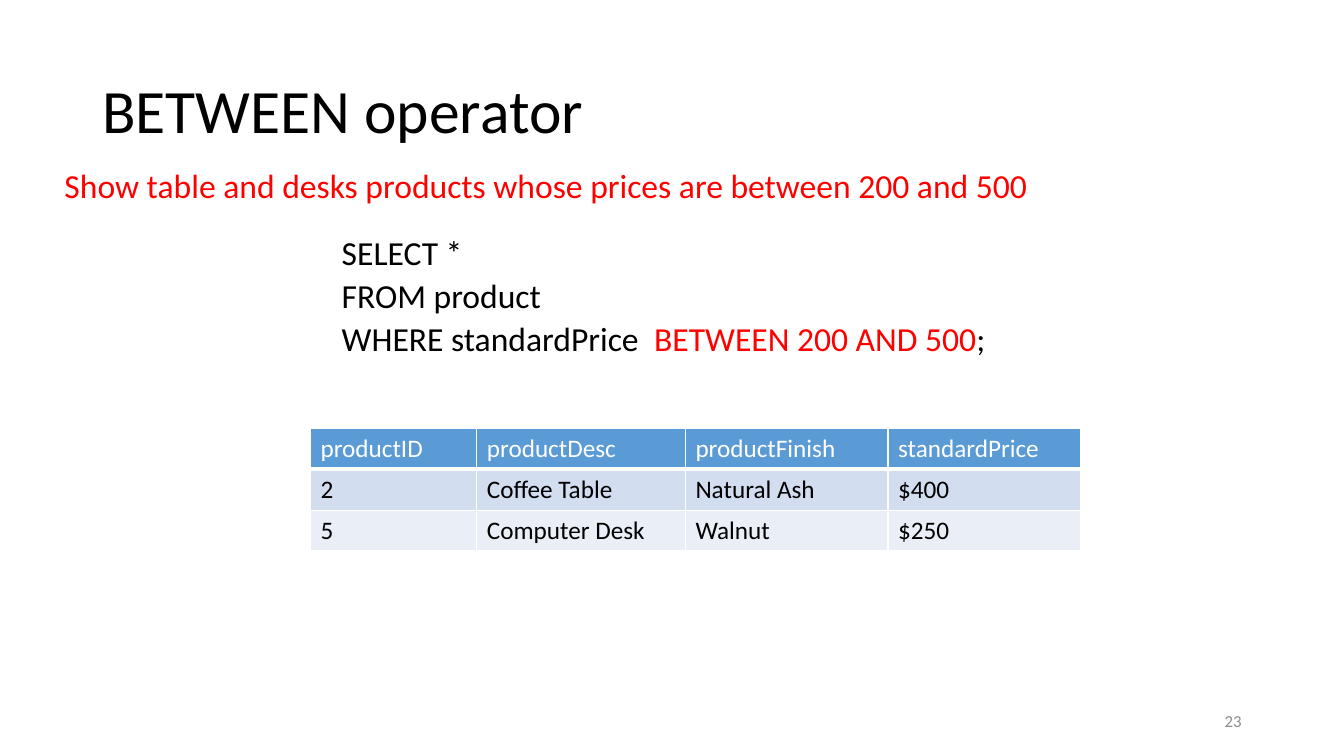
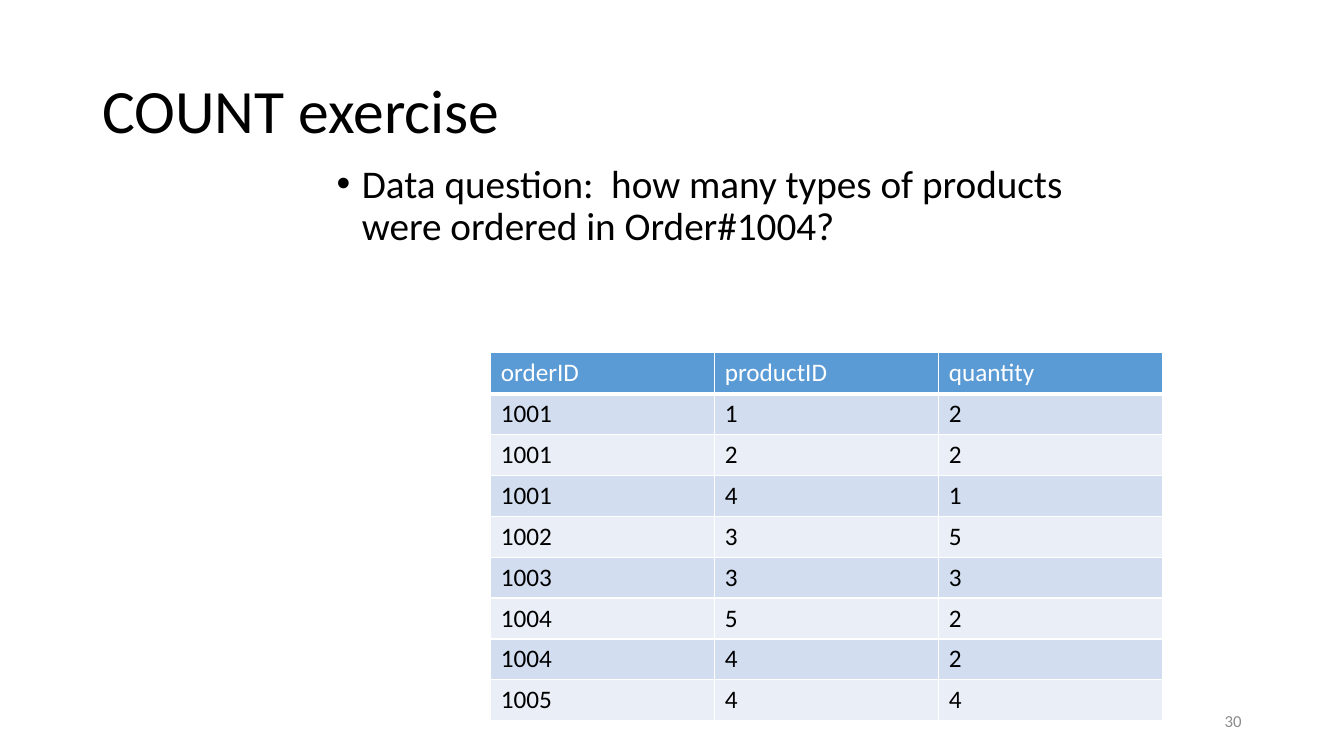
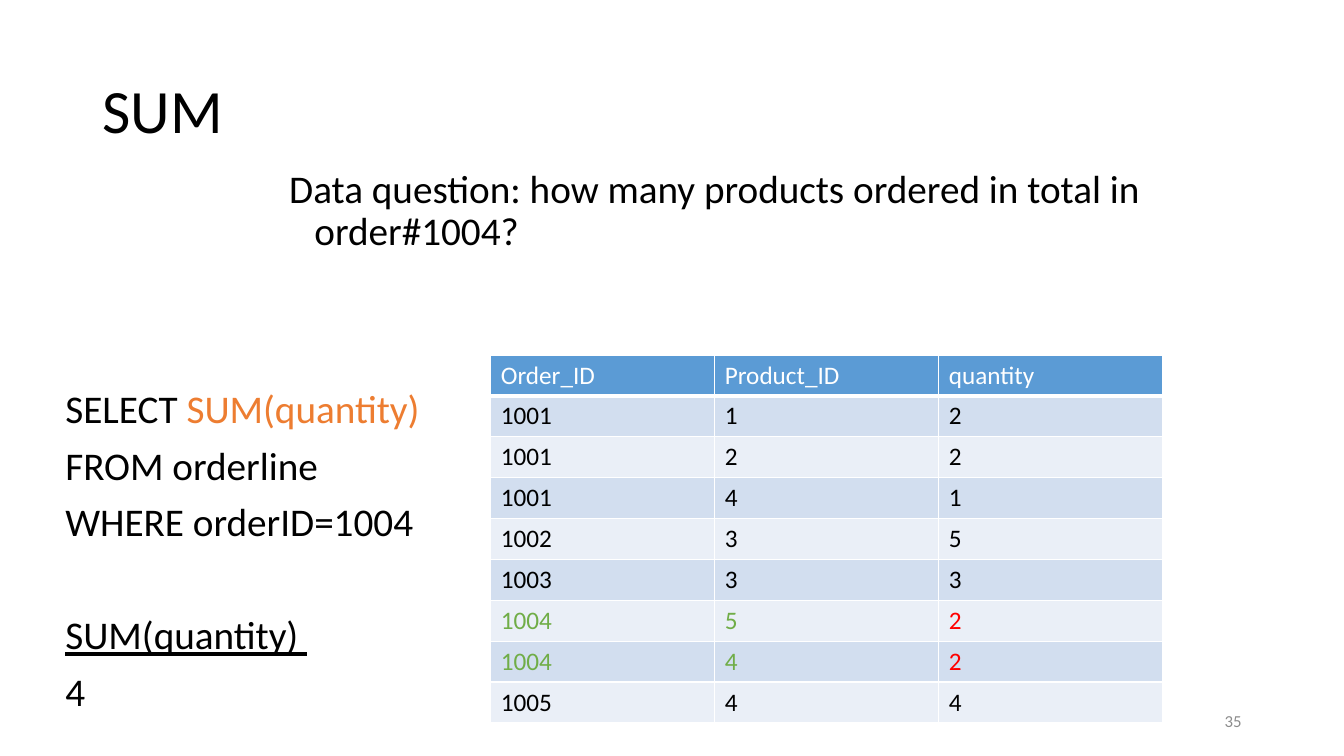
"""Build three slides on SQL operators."""
from dataclasses import dataclass
from typing import NamedTuple

from lxml import etree
from pptx import Presentation
from pptx.dml.color import RGBColor
from pptx.enum.text import MSO_ANCHOR, MSO_AUTO_SIZE, PP_ALIGN
from pptx.oxml.ns import qn
from pptx.util import Pt

MIDDLE, TOP = MSO_ANCHOR.MIDDLE, MSO_ANCHOR.TOP
LEFT, RIGHT = PP_ALIGN.LEFT, PP_ALIGN.RIGHT
NO_FIT = MSO_AUTO_SIZE.NONE

BLACK = RGBColor(0x00, 0x00, 0x00)
WHITE = RGBColor(0xFF, 0xFF, 0xFF)
RED = RGBColor(0xFF, 0x00, 0x00)
GREEN = RGBColor(0x70, 0xAD, 0x47)
ORANGE = RGBColor(0xED, 0x7D, 0x31)
GRAY = RGBColor(0x8C, 0x8C, 0x8C)
BLUE = RGBColor(0x5B, 0x9B, 0xD5)
BANDS = (RGBColor(0xD2, 0xDE, 0xEF), RGBColor(0xEA, 0xEF, 0xF7))

FONT = "Calibri"
ROW = 29.2
HANG = 18


class Box(NamedTuple):
    """Place and size in points."""
    x: float
    y: float
    w: float
    h: float


class Run(NamedTuple):
    """A piece of text in one style."""
    text: str
    color: RGBColor = BLACK
    under: bool = False


@dataclass
class Para:
    """A paragraph and its layout in points."""
    runs: list[Run]
    size: float = 28
    before: float = 10
    indent: float = HANG
    hang: float = HANG
    spacing: float = 0.9
    level: int = 0
    bullet: str = ""
    align: PP_ALIGN = LEFT


@dataclass
class Grid:
    """A table: its corner, column widths, rows and marked order."""
    x: float
    y: float
    cols: list[float]
    rows: list[tuple]
    mark: str = ""


TITLE = Box(66, 28.75, 828, 104.4)
NUMBER = Box(678, 500.5, 216, 28.75)


def add_run(para, run: Run, size: float) -> None:
    """Add one styled run."""
    item = para.add_run()
    item.text = run.text
    font = item.font
    font.name, font.size, font.bold = FONT, Pt(size), False
    font.color.rgb = run.color
    if run.under:
        font.underline = True


def fill_text(shape, box: Box, paras: list[Para], anchor=TOP) -> None:
    """Place a shape and write its paragraphs."""
    shape.left, shape.top, shape.width, shape.height = map(Pt, box)
    frame = shape.text_frame
    frame.word_wrap, frame.auto_size = True, NO_FIT
    frame.vertical_anchor = anchor
    for i, para in enumerate(paras):
        line = frame.add_paragraph() if i else frame.paragraphs[0]
        line.level, line.alignment = para.level, para.align
        line.line_spacing = para.spacing
        line.space_before, line.space_after = Pt(para.before), Pt(0)
        props = line._p.get_or_add_pPr()
        props.set("marL", str(Pt(para.indent)))
        props.set("indent", str(-Pt(para.hang)))
        if para.bullet:
            face = etree.SubElement(props, qn("a:buFont"))
            face.set("typeface", "Arial")
            mark = etree.SubElement(props, qn("a:buChar"))
            mark.set("char", para.bullet)
        else:
            etree.SubElement(props, qn("a:buNone"))
        for run in para.runs:
            add_run(line, run, para.size)


def plain(run: Run, size: float, align=LEFT, spacing: float = 1) -> Para:
    """Make a paragraph with no indent or gap."""
    return Para([run], size, 0, 0, 0, spacing, align=align)


def add_text(slide, box: Box, paras: list[Para], anchor=TOP) -> None:
    """Add a text box."""
    shape = slide.shapes.add_textbox(*map(Pt, box))
    fill_text(shape, box, paras, anchor)


def add_edges(cell, head: bool) -> None:
    """Draw white cell borders, thick below the header."""
    props = cell._tc.get_or_add_tcPr()
    for side in "LRTB":
        edge = etree.SubElement(props, qn(f"a:ln{side}"))
        edge.set("w", str(Pt(3 if head and side == "B" else 1)))
        paint = etree.SubElement(edge, qn("a:solidFill"))
        etree.SubElement(paint, qn("a:srgbClr")).set("val", str(WHITE))


def pick_ink(grid: Grid, row: int, col: int) -> RGBColor:
    """Choose the text colour of a cell."""
    if row == 0:
        return WHITE
    if grid.rows[row][0] == grid.mark:
        return RED if col == len(grid.cols) - 1 else GREEN
    return BLACK


def add_grid(slide, grid: Grid) -> None:
    """Add a banded table."""
    count = len(grid.rows)
    box = Box(grid.x, grid.y, sum(grid.cols), ROW * count)
    table = slide.shapes.add_table(count, len(grid.cols), *map(Pt, box)).table
    for col, width in zip(table.columns, grid.cols):
        col.width = Pt(width)
    for r, values in enumerate(grid.rows):
        table.rows[r].height = Pt(ROW)
        for c, value in enumerate(values):
            cell = table.cell(r, c)
            add_edges(cell, r == 0)
            cell.fill.solid()
            cell.fill.fore_color.rgb = BANDS[(r - 1) % 2] if r else BLUE
            ink = pick_ink(grid, r, c)
            add_run(cell.text_frame.paragraphs[0], Run(value, ink), 18)


def add_page(deck, title: str, number: str, box: Box, body: list[Para],
             grid: Grid):
    """Add a slide with title, body, number and table."""
    slide = deck.slides.add_slide(deck.slide_layouts[1])
    head = plain(Run(title), 44, spacing=0.9)
    fill_text(slide.shapes.title, TITLE, [head], MIDDLE)
    fill_text(slide.placeholders[1], box, body)
    foot = plain(Run(number, GRAY), 12, RIGHT)
    add_text(slide, NUMBER, [foot], MIDDLE)
    add_grid(slide, grid)
    return slide


def code(*runs: Run) -> Para:
    """Make an indented query line."""
    return Para(list(runs), 24, 5, 54, level=1)


PRODUCTS = [
    ("productID", "productDesc", "productFinish", "standardPrice"),
    ("2", "Coffee Table", "Natural Ash", "$400"),
    ("5", "Computer Desk", "Walnut", "$250"),
]
ORDERS = [
    ("1001", "1", "2"),
    ("1001", "2", "2"),
    ("1001", "4", "1"),
    ("1002", "3", "5"),
    ("1003", "3", "3"),
    ("1004", "5", "2"),
    ("1004", "4", "2"),
    ("1005", "4", "4"),
]
THIRDS = [160] * 3


def add_between(deck) -> None:
    """Add the BETWEEN slide."""
    query = [
        code(Run("SELECT *")),
        code(Run("FROM product")),
        code(Run("WHERE standardPrice  "), Run("BETWEEN 200 AND 500", RED),
             Run(";")),
    ]
    grid = Grid(221.8, 306, [118.8, 149, 144.7, 137.5], PRODUCTS)
    slide = add_page(deck, "BETWEEN operator", "23",
                     Box(200.9, 165, 607.7, 144), query, grid)
    task = "Show table and desks products whose prices are between 200 and 500"
    add_text(slide, Box(39, 114.5, 770.4, 36), [plain(Run(task, RED), 24)])


def add_count(deck) -> None:
    """Add the COUNT slide."""
    ask = ("Data question:  how many types of products "
           "were ordered in Order#1004?")
    rows = [("orderID", "productID", "quantity"), *ORDERS]
    add_page(deck, "COUNT exercise", "30", Box(233.3, 113.8, 590.4, 91.4),
             [Para([Run(ask)], bullet="•")], Grid(350.6, 252, THIRDS, rows))


def add_sum(deck) -> None:
    """Add the SUM slide."""
    ask = "Data question: how many products ordered in total in order#1004?"
    rows = [("Order_ID", "Product_ID", "quantity"), *ORDERS]
    slide = add_page(deck, "SUM", "35", Box(199.4, 117.4, 640.8, 136),
                     [Para([Run(ask)])],
                     Grid(350.6, 253.6, THIRDS, rows, "1004"))
    query = [
        Para([Run("SELECT "), Run("SUM(quantity) ", ORANGE)]),
        Para([Run("FROM orderline")]),
        Para([Run("WHERE orderID=1004")]),
        Para([Run("SUM(quantity) ", under=True)], before=50.7),
        Para([Run("4")]),
    ]
    add_text(slide, Box(39.6, 275, 276.5, 283.7), query)


def main() -> None:
    """Build and save the deck."""
    deck = Presentation()
    deck.slide_width, deck.slide_height = Pt(960), Pt(540)
    add_between(deck)
    add_count(deck)
    add_sum(deck)
    deck.save("out.pptx")


main()
